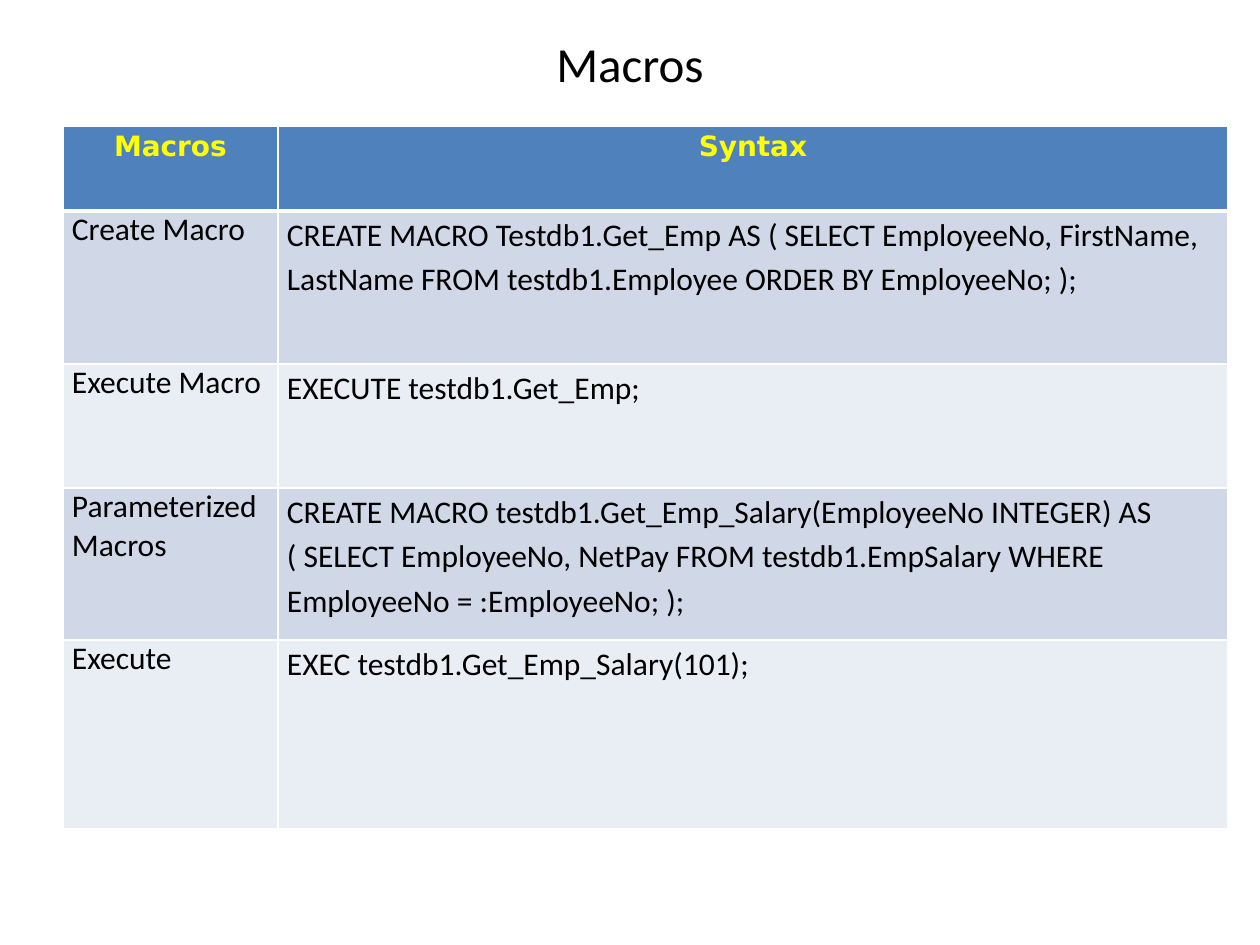
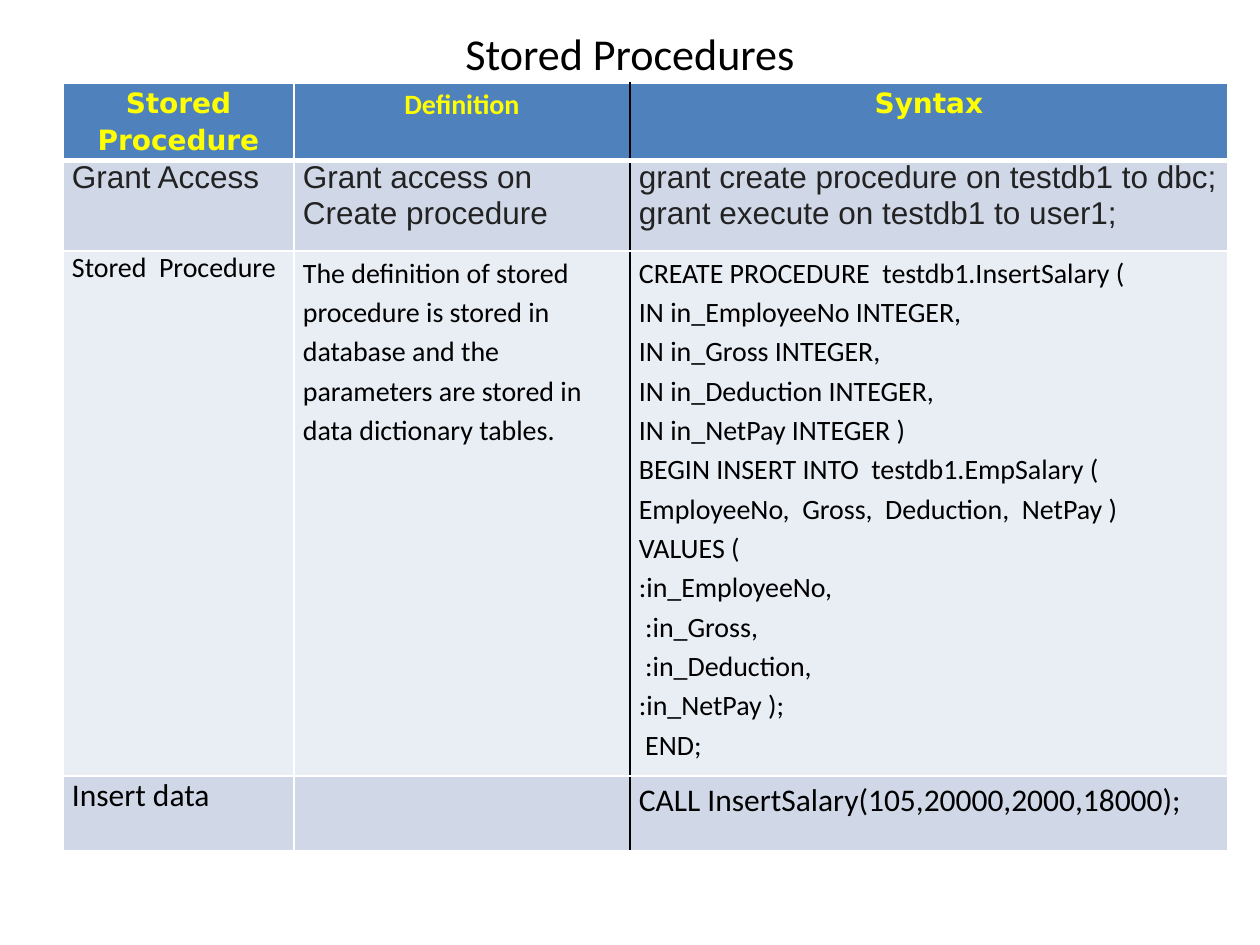
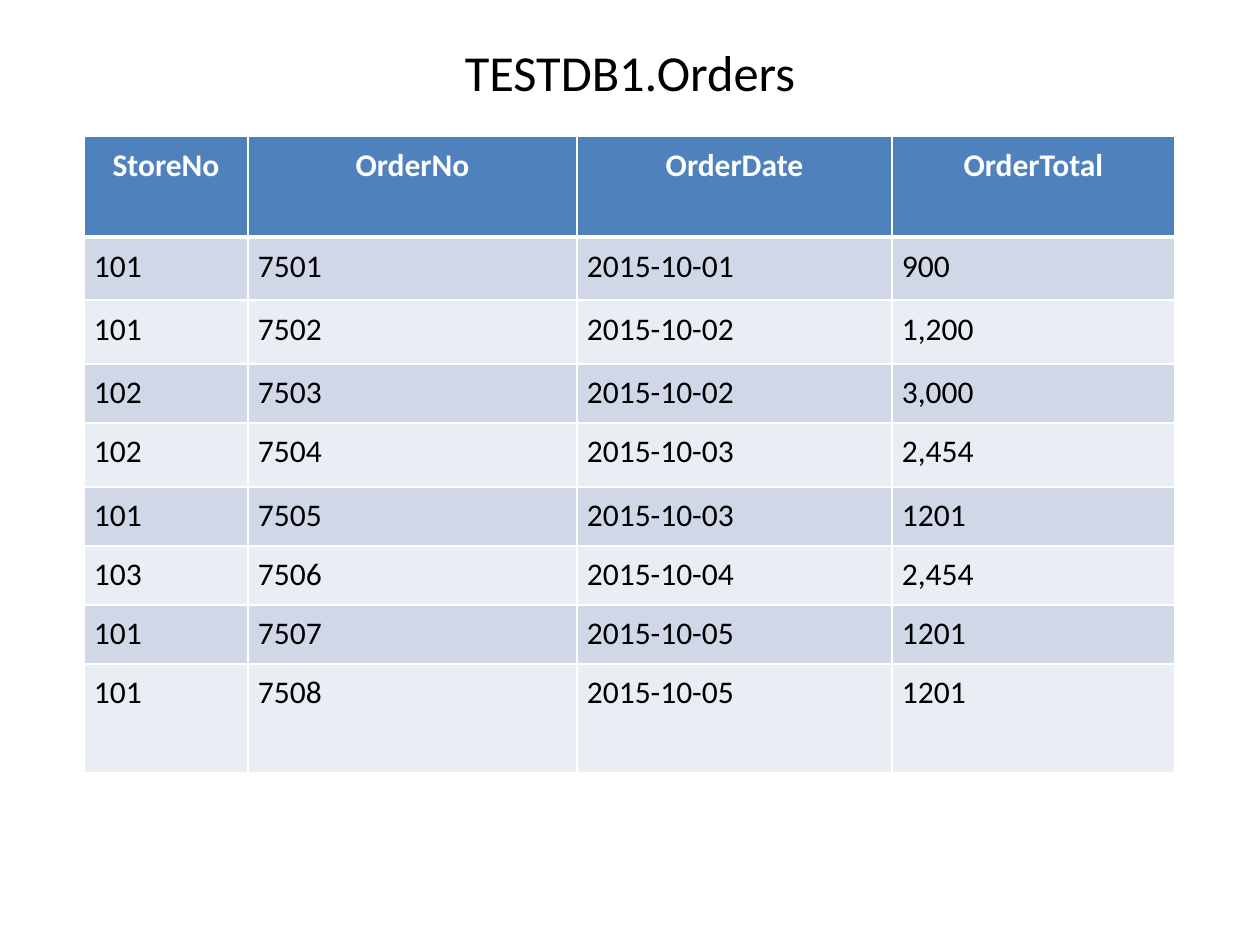
from dataclasses import dataclass, replace

from lxml import etree
from pptx import Presentation
from pptx import util as u
from pptx.dml.color import RGBColor
from pptx.enum import text
from pptx.oxml.ns import qn

SCALE = 914400 / 126
SLIDE_SIZE = (1260, 945)


@dataclass(frozen=True)
class TextStyle:
    """Look of the text in a title or a cell."""
    size: float = 18
    font: str = "Calibri"
    color: str = "000000"
    bold: bool = False
    centered: bool = False
    spacing: float = 1.0


@dataclass(frozen=True)
class Theme:
    """Colours and type styles that the slides share."""
    header_fill: str = "4F81BD"
    bands: tuple = ("D0D8E8", "E9EDF4")
    rule: str = "FFFFFF"
    divider: str = "000000"
    thin: int = 1
    thick: int = 3
    title: TextStyle = TextStyle(centered=True)
    label: TextStyle = TextStyle()
    code: TextStyle = TextStyle(spacing=1.15)
    grant: TextStyle = TextStyle(font="Arial", color="222222")
    header: TextStyle = TextStyle(16, "DejaVu Sans", "FFFF00", True, True, 1.15)
    order_header: TextStyle = TextStyle(color="FFFFFF", bold=True, centered=True)


THEME = Theme()


def px(length):
    """Turn pixels into EMU."""
    return u.Emu(round(length * SCALE))


def write(frame, content, style):
    """Fill a text frame, one paragraph for each line of content."""
    for index, line in enumerate(content.split("\n")):
        paragraph = frame.add_paragraph() if index else frame.paragraphs[0]
        align = text.PP_ALIGN.CENTER if style.centered else text.PP_ALIGN.LEFT
        formats = {"alignment": align, "line_spacing": style.spacing}
        for name, value in formats.items():
            setattr(paragraph, name, value)
        run = paragraph.add_run()
        run.text = line
        formats = {"size": u.Pt(style.size), "name": style.font, "bold": style.bold}
        for name, value in formats.items():
            setattr(run.font, name, value)
        run.font.color.rgb = RGBColor.from_string(style.color)


def add_title(slide, box, content, size):
    """Place a centred title in its box."""
    frame = slide.shapes.add_textbox(*map(px, box)).text_frame
    frame.word_wrap = True
    frame.vertical_anchor = text.MSO_ANCHOR.MIDDLE
    write(frame, content, replace(THEME.title, size=size))


def add_border(cell, side, color, width):
    """Draw one edge of a cell."""
    properties = cell._tc.get_or_add_tcPr()
    line = etree.SubElement(properties, qn(f"a:ln{side}"), w=str(u.Pt(width)))
    fill = etree.SubElement(line, qn("a:solidFill"))
    etree.SubElement(fill, qn("a:srgbClr"), val=color)


def format_cell(cell, row, column, margins, divider):
    """Set the margins, edges and band colour of a cell."""
    horizontal, vertical = map(px, margins)
    formats = {
        "margin_left": horizontal, "margin_right": horizontal,
        "margin_top": vertical, "margin_bottom": vertical,
    }
    for name, value in formats.items():
        setattr(cell, name, value)
    edges = {
        "L": (column == divider, False), "R": (column + 1 == divider, False),
        "T": (False, row == 1), "B": (False, row == 0),
    }
    for side, (dark, heavy) in edges.items():
        color = THEME.divider if dark else THEME.rule
        add_border(cell, side, color, THEME.thick if heavy else THEME.thin)
    fill = THEME.bands[(row - 1) % 2] if row else THEME.header_fill
    cell.fill.solid()
    cell.fill.fore_color.rgb = RGBColor.from_string(fill)


def add_grid(slide, origin, widths, heights, rows, styles, margins=(9, 0), divider=None):
    """Build a banded table with one style for each cell."""
    box = (*origin, sum(widths), sum(heights))
    table = slide.shapes.add_table(len(rows), len(widths), *map(px, box)).table
    table.horz_banding = False
    for column, width in zip(table.columns, widths):
        column.width = px(width)
    for table_row, height in zip(table.rows, heights):
        table_row.height = px(height)
    for r, (contents, row_styles) in enumerate(zip(rows, styles)):
        for c, (content, style) in enumerate(zip(contents, row_styles)):
            cell = table.cell(r, c)
            format_cell(cell, r, c, margins, divider)
            if content:
                write(cell.text_frame, content, style)


def build_macros(slide):
    """Slide with the macro statements."""
    add_title(slide, (63, 21, 1134, 84), "Macros", 28)
    rows = [
        ("Macros", "Syntax"),
        ("Create Macro",
         "CREATE MACRO Testdb1.Get_Emp AS ( SELECT EmployeeNo, FirstName, "
         "LastName FROM testdb1.Employee ORDER BY EmployeeNo; );"),
        ("Execute Macro", "EXECUTE testdb1.Get_Emp;"),
        ("Parameterized Macros",
         "CREATE MACRO testdb1.Get_Emp_Salary(EmployeeNo INTEGER) AS "
         "( SELECT EmployeeNo, NetPay FROM testdb1.EmpSalary WHERE "
         "EmployeeNo = :EmployeeNo; );"),
        ("Execute", "EXEC testdb1.Get_Emp_Salary(101);"),
    ]
    styles = [(THEME.header,) * 2] + [(THEME.label, THEME.code)] * 4
    add_grid(slide, (63, 126), (215, 950), (85, 153, 124, 152, 189), rows, styles)


def build_procedures(slide):
    """Slide with the stored procedure statements."""
    add_title(slide, (63, 21, 1134, 63), "Stored Procedures", 25.2)
    procedure = "\n".join((
        "CREATE PROCEDURE  testdb1.InsertSalary (",
        "IN in_EmployeeNo INTEGER,",
        "IN in_Gross INTEGER,",
        "IN in_Deduction INTEGER,",
        "IN in_NetPay INTEGER )",
        "BEGIN INSERT INTO  testdb1.EmpSalary (",
        "EmployeeNo,  Gross,  Deduction,  NetPay )",
        "VALUES (",
        ":in_EmployeeNo,",
        " :in_Gross,",
        " :in_Deduction,",
        ":in_NetPay );",
        " END;",
    ))
    rows = [
        ("Stored Procedure", "Definition", "Syntax"),
        ("Grant Access", "Grant access on Create procedure",
         "grant create procedure on testdb1 to dbc;\n"
         "grant execute on testdb1 to user1;"),
        ("Stored  Procedure",
         "The definition of stored procedure is stored in database and the "
         "parameters are stored in data dictionary tables.", procedure),
        ("Insert data", "", "CALL InsertSalary(105,20000,2000,18000);"),
    ]
    small_label, small_code = (replace(s, size=16) for s in (THEME.label, THEME.code))
    styles = [
        (THEME.header, replace(THEME.header, font="Calibri"), THEME.header),
        (THEME.grant,) * 3,
        (small_label, small_code, small_code),
        (THEME.label, THEME.code, THEME.code),
    ]
    add_grid(slide, (63, 83), (231, 336, 598), (77, 91, 525, 75), rows, styles, divider=2)


def build_orders(slide):
    """Slide with the order records."""
    add_title(slide, (63, 38, 1134, 67), "TESTDB1.Orders", 28.8)
    orders = [
        ("101", "01", "900"), ("101", "02", "1,200"), ("102", "02", "3,000"),
        ("102", "03", "2,454"), ("101", "03", "1201"), ("103", "04", "2,454"),
        ("101", "05", "1201"), ("101", "05", "1201"),
    ]
    rows = [("StoreNo", "OrderNo", "OrderDate", "OrderTotal")]
    for number, (store, day, total) in enumerate(orders, 7501):
        rows.append((store, str(number), f"2015-10-{day}", total))
    styles = [(THEME.order_header,) * 4] + [(THEME.label,) * 4] * len(orders)
    heights = (101, 63, 64, 59, 64, 59, 59, 59, 109)
    add_grid(slide, (84, 136), (164, 329, 315, 283), heights, rows, styles, margins=(10, 10))


def main():
    """Build the presentation and save it."""
    presentation = Presentation()
    presentation.slide_width, presentation.slide_height = map(px, SLIDE_SIZE)
    for build in (build_macros, build_procedures, build_orders):
        build(presentation.slides.add_slide(presentation.slide_layouts[6]))
    presentation.save("out.pptx")


main()
